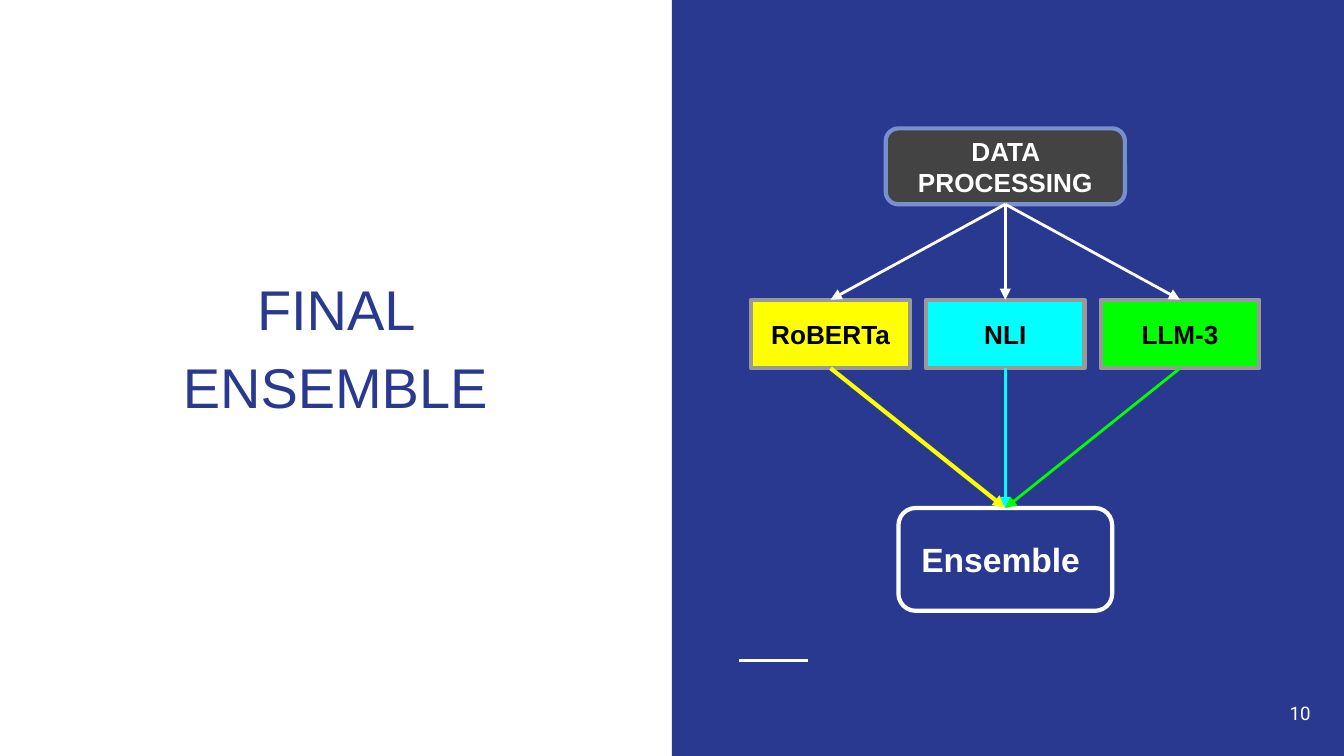
from pptx import Presentation
from pptx.dml.color import RGBColor
from pptx.enum.shapes import MSO_CONNECTOR, MSO_SHAPE
from pptx.enum.text import MSO_ANCHOR, MSO_AUTO_SIZE, PP_ALIGN
from pptx.oxml.ns import qn
from pptx.util import Pt
from lxml import etree

EMU_PER_PX = 4572
SLIDE_WIDTH, SLIDE_HEIGHT = 2000, 1125
TITLE_ONLY_LAYOUT = 5
TOP, BOTTOM = 0, 2

RECTANGLE = MSO_SHAPE.RECTANGLE
ALTERNATE_PROCESS = MSO_SHAPE.FLOWCHART_ALTERNATE_PROCESS
STRAIGHT = MSO_CONNECTOR.STRAIGHT
ANCHOR_TOP, ANCHOR_MIDDLE = MSO_ANCHOR.TOP, MSO_ANCHOR.MIDDLE
NO_AUTOFIT = MSO_AUTO_SIZE.NONE
CENTER, RIGHT = PP_ALIGN.CENTER, PP_ALIGN.RIGHT

NAVY = RGBColor(0x2A, 0x39, 0x90)
WHITE = RGBColor(0xFF, 0xFF, 0xFF)
BLACK = RGBColor(0x00, 0x00, 0x00)
CHARCOAL = RGBColor(0x43, 0x43, 0x43)
GRAY = RGBColor(0x99, 0x99, 0x99)
PALE_BLUE = RGBColor(0x78, 0x90, 0xCD)
YELLOW = RGBColor(0xFF, 0xFF, 0x00)
CYAN = RGBColor(0x00, 0xFF, 0xFF)
GREEN = RGBColor(0x00, 0xFF, 0x00)


def px(*lengths):
    return [length * EMU_PER_PX for length in lengths]


class SlideBuilder:
    font = "Arial"
    inset = 20
    border_width = 2.25
    line_width = 1.5

    def __init__(self, slide):
        self.slide = slide

    def set_text(self, shape, text, size, color, bold=False, font=None,
                 align=CENTER, anchor=ANCHOR_MIDDLE):
        frame = shape.text_frame
        frame.text = text
        frame.word_wrap = True
        frame.auto_size = NO_AUTOFIT
        frame.vertical_anchor = anchor
        frame.margin_left, frame.margin_top, frame.margin_right, frame.margin_bottom = px(*[self.inset] * 4)
        paragraph = frame.paragraphs[0]
        paragraph.alignment = align
        for run in paragraph.runs:
            run.font.name = font or self.font
            run.font.size = Pt(size)
            run.font.bold = bold
            run.font.color.rgb = color
        return paragraph

    def title(self, text, left, top, width, height):
        shape = self.slide.shapes.title
        shape.left, shape.top, shape.width, shape.height = px(left, top, width, height)
        paragraph = self.set_text(shape, text, 30, NAVY, anchor=ANCHOR_TOP)
        paragraph.line_spacing = 1.15
        paragraph.space_after = Pt(16)

    def panel(self, left, top, width, height, fill, kind=RECTANGLE):
        shape = self.slide.shapes.add_shape(kind, *px(left, top, width, height))
        shape.shadow.inherit = False
        shape.fill.solid()
        shape.fill.fore_color.rgb = fill
        shape.line.fill.background()
        return shape

    def box(self, text, left, top, width, height, fill, border, color, size=14, kind=RECTANGLE):
        shape = self.panel(left, top, width, height, fill, kind)
        shape.line.color.rgb = border
        shape.line.width = Pt(self.border_width)
        self.set_text(shape, text, size, color, bold=True)
        return shape

    def label(self, text, left, top, width, height, size, font):
        shape = self.slide.shapes.add_textbox(*px(left, top, width, height))
        self.set_text(shape, text, size, WHITE, font=font, align=RIGHT)

    def line(self, start_x, start_y, end_x, end_y, color, width=line_width):
        connector = self.slide.shapes.add_connector(STRAIGHT, *px(start_x, start_y, end_x, end_y))
        connector.line.color.rgb = color
        connector.line.width = Pt(width)
        etree.SubElement(connector._element.spPr, qn("a:effectLst"))
        return connector

    def arrow(self, source, target, color, width=line_width):
        connector = self.line(0, 0, 0, 0, color, width)
        connector.begin_connect(source, BOTTOM)
        connector.end_connect(target, TOP)
        outline = connector._element.spPr.find(qn("a:ln"))
        etree.SubElement(outline, qn("a:tailEnd"), type="triangle")


def main():
    presentation = Presentation()
    presentation.slide_width, presentation.slide_height = px(SLIDE_WIDTH, SLIDE_HEIGHT)
    slide = presentation.slides.add_slide(presentation.slide_layouts[TITLE_ONLY_LAYOUT])
    builder = SlideBuilder(slide)

    half = SLIDE_WIDTH // 2
    builder.panel(half, 0, half, SLIDE_HEIGHT, NAVY)
    builder.line(1100, 983, 1202, 983, WHITE)
    builder.title("FINAL ENSEMBLE", 178, 374, 642, 244)
    builder.label("10", 1850, 1018, 120, 86, 10, "Roboto")

    processing = builder.box("DATA PROCESSING", 1318, 191, 356, 113, CHARCOAL, PALE_BLUE,
                             WHITE, kind=ALTERNATE_PROCESS)
    ensemble = builder.box("Ensemble ", 1337, 756, 318, 153, NAVY, WHITE,
                           WHITE, size=18, kind=ALTERNATE_PROCESS)

    models = [
        ("RoBERTa", YELLOW, 2.25),
        ("NLI", CYAN, 1.5),
        ("LLM-3", GREEN, 1.5),
    ]
    first_left, model_pitch = 1118, 260
    for index, (name, color, arrow_width) in enumerate(models):
        model = builder.box(name, first_left + index * model_pitch, 446, 236, 102,
                            color, GRAY, BLACK)
        builder.arrow(processing, model, WHITE)
        builder.arrow(model, ensemble, color, arrow_width)

    presentation.save("out.pptx")


if __name__ == "__main__":
    main()
